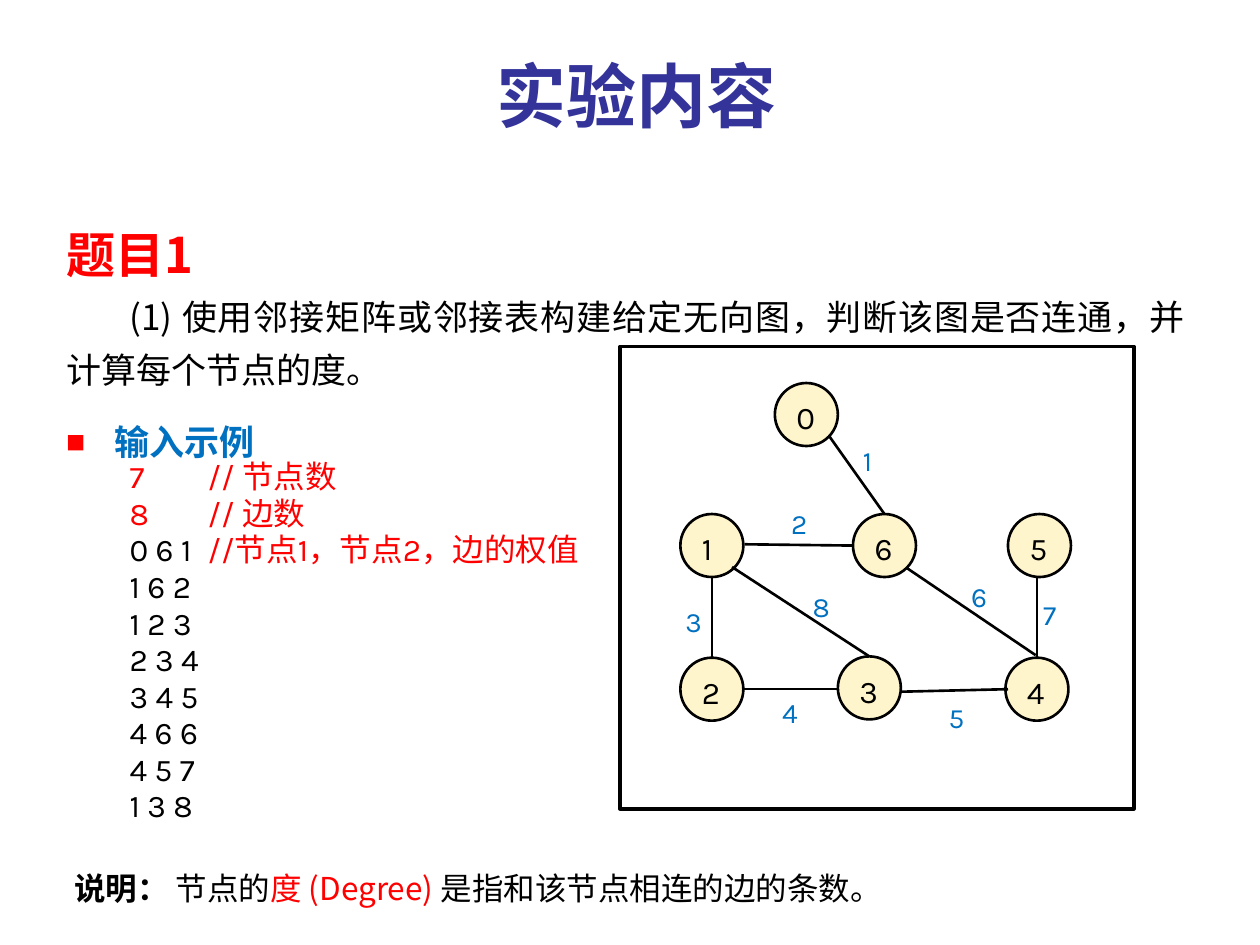
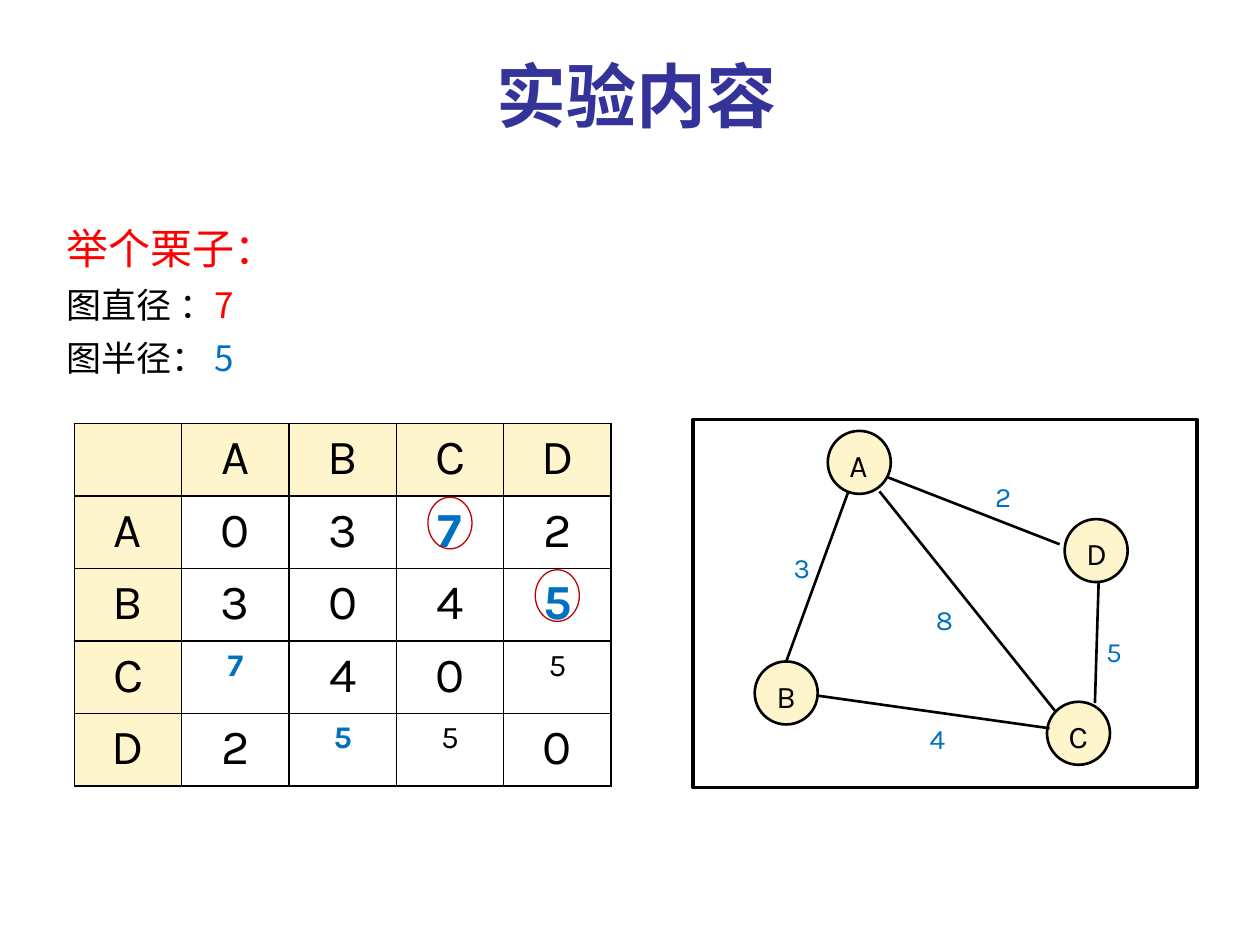
from lxml import etree
from pptx import Presentation
from pptx import util as u
from pptx.dml.color import RGBColor
from pptx.enum import shapes, text
from pptx.oxml.ns import qn

COLORS = {
    "title": "333399", "red": "FF0000", "blue": "0070C0", "black": "000000",
    "node": "FFF5CC", "white": "FFFFFF", "ring": "C00000",
}
HAN = "Noto Sans CJK SC"
LATIN = "Karla"
JUSTIFY = text.PP_ALIGN.JUSTIFY
CENTER = text.PP_ALIGN.CENTER
NODE_SIZE = 0.5

SAMPLE_ROWS = ["1 6 2", "1 2 3", "2 3 4", "3 4 5", "4 6 6", "4 5 7", "1 3 8"]

# Graphs: node -> top left corner; edge -> weight, label corner, two end points.
# All positions are relative to the frame of the graph.
WEIGHTED_NODES = {
    "0": (1.23, 0.29), "1": (0.48, 1.33), "2": (0.48, 2.47), "3": (1.73, 2.46),
    "4": (3.06, 2.47), "5": (3.08, 1.33), "6": (1.85, 1.33),
}
WEIGHTED_EDGES = [
    ("1", (1.83, 0.72), (1.66, 0.71), (2.1, 1.33)),
    ("2", (1.26, 1.22), (1.85, 1.58), (0.99, 1.57)),
    ("3", (0.42, 2.0), (0.73, 1.83), (0.73, 2.47)),
    ("4", (1.19, 2.72), (1.73, 2.72), (0.98, 2.72)),
    ("5", (2.51, 2.76), (3.08, 2.72), (2.23, 2.74)),
    ("6", (2.69, 1.8), (3.3, 2.45), (2.28, 1.76)),
    ("7", (3.26, 1.94), (3.31, 1.82), (3.31, 2.47)),
    ("8", (1.43, 1.88), (1.98, 2.46), (0.89, 1.75)),
]
DISTANCE_NODES = {
    "A": (1.07, 0.09), "B": (0.49, 1.92), "C": (2.81, 2.24), "D": (2.95, 0.79),
}
DISTANCE_EDGES = [
    ("2", (2.3, 0.43), (1.55, 0.46), (2.91, 0.99)),
    ("3", (0.7, 0.99), (0.74, 1.92), (1.23, 0.58)),
    ("4", (1.78, 2.35), (2.83, 2.45), (0.98, 2.19)),
    ("5", (3.18, 1.66), (3.22, 1.28), (3.19, 2.25)),
    ("8", (1.83, 1.4), (1.48, 0.57), (2.88, 2.32)),
]
DISTANCES = ["0372", "3045", "7405", "2550"]
HIGHLIGHTED = {(1, 3), (2, 4), (3, 1), (4, 2)}
SMALL = {(3, 1), (3, 4), (4, 2), (4, 3)}
RINGED = [(1, 3), (2, 4)]


def rgb(name):
    return RGBColor.from_string(COLORS[name])


def inches(*lengths):
    return [u.Inches(length) for length in lengths]


def add_run(paragraph, words, size, color="black", bold=False, face=HAN):
    run = paragraph.add_run()
    run.text = words
    formats = {"size": u.Pt(size), "bold": bold, "name": face}
    for key, value in formats.items():
        setattr(run.font, key, value)
    run.font.color.rgb = rgb(color)
    east_asian = etree.SubElement(run.font._element, qn("a:ea"))
    east_asian.set("typeface", face)


def add_box(slide, box, wrap=True):
    frame = slide.shapes.add_textbox(*inches(*box)).text_frame
    frame.word_wrap = wrap
    return frame


def add_line(frame, runs, height=None, before=0, align=None):
    """Write a paragraph of (words, size, colour, ...) runs with a fixed line height."""
    first = frame.paragraphs[0]
    paragraph = frame.add_paragraph() if first.runs else first
    formats = {"space_before": u.Pt(before), "alignment": align}
    if height:
        formats["line_spacing"] = u.Pt(height)
    for key, value in formats.items():
        setattr(paragraph, key, value)
    for run in runs:
        add_run(paragraph, *run)
    return paragraph


def set_indent(paragraph, margin, first):
    properties = paragraph._p.get_or_add_pPr()
    properties.set("marL", str(u.Inches(margin)))
    properties.set("indent", str(u.Inches(first)))
    return properties


def add_bullet(paragraph):
    properties = set_indent(paragraph, 0.38, -0.38)
    color = etree.SubElement(properties, qn("a:buClr"))
    etree.SubElement(color, qn("a:srgbClr")).set("val", COLORS["red"])
    for tag, key, value in [("a:buSzPct", "val", "55000"),
                            ("a:buFont", "typeface", HAN),
                            ("a:buChar", "char", "■")]:
        etree.SubElement(properties, qn(tag)).set(key, value)


def add_tab_stop(paragraph, position):
    tabs = etree.SubElement(paragraph._p.get_or_add_pPr(), qn("a:tabLst"))
    stop = etree.SubElement(tabs, qn("a:tab"))
    stop.set("pos", str(u.Inches(position)))
    stop.set("algn", "l")


def add_outline(slide, preset, box, fill, line, width):
    shape = slide.shapes.add_shape(preset, *inches(*box))
    shape.shadow.inherit = False
    if fill:
        shape.fill.solid()
        shape.fill.fore_color.rgb = rgb(fill)
    else:
        shape.fill.background()
    shape.line.color.rgb = rgb(line)
    shape.line.width = u.Pt(width)
    return shape


def add_title(slide, box):
    frame = add_box(slide, box)
    frame.vertical_anchor = text.MSO_ANCHOR.BOTTOM
    frame.margin_bottom = 0
    add_line(frame, [("实验内容", 40, "title", True)], align=CENTER)


def add_node(slide, name, left, top):
    box = (left, top, NODE_SIZE, NODE_SIZE)
    node = add_outline(slide, shapes.MSO_SHAPE.OVAL, box, "node", "black", 1.5)
    frame = node.text_frame
    frame.word_wrap = False
    frame.vertical_anchor = text.MSO_ANCHOR.TOP
    add_line(frame, [(name, 18, "black", False, LATIN)], align=text.PP_ALIGN.LEFT)


def add_edge(slide, start, end):
    edge = slide.shapes.add_connector(
        shapes.MSO_CONNECTOR.STRAIGHT, *inches(*start, *end))
    edge.line.color.rgb = rgb("black")
    edge.line.width = u.Pt(1.5)
    etree.SubElement(edge._element.spPr, qn("a:effectLst"))


def add_graph(slide, box, nodes, edges):
    left, top = box[:2]

    def place(point):
        return left + point[0], top + point[1]

    add_outline(slide, shapes.MSO_SHAPE.RECTANGLE, box, "white", "black", 2)
    for name, corner in nodes.items():
        add_node(slide, name, *place(corner))
    for weight, corner, start, end in edges:
        add_edge(slide, place(start), place(end))
        label = add_box(slide, (*place(corner), 0.61, 0.37))
        add_line(label, [(weight, 16, "blue", False, LATIN)])


def add_task(slide, box):
    frame = add_box(slide, box)
    add_line(frame, [("题目1", 28, "red", True)], 44, align=JUSTIFY)
    task = add_line(
        frame,
        [("(1) 使用邻接矩阵或邻接表构建给定无向图，判断该图是否连通，并计算每个节点的度。", 20)],
        30, before=1, align=JUSTIFY)
    set_indent(task, 0, 0.5)
    add_bullet(add_line(frame, [("输入示例", 20, "blue", True)], 30, before=11.5))


def add_sample_input(slide, box):
    frame = add_box(slide, box)
    commented = [("7", "red", "// 节点数"), ("8", "red", "// 边数"),
                 ("0 6 1", "black", "//节点1，节点2，边的权值")]
    for values, color, comment in commented:
        row = add_line(frame, [(values + "\t", 18, color, False, LATIN),
                               (comment, 18, "red", False, LATIN)], 20.9)
        add_tab_stop(row, 0.62)
    for values in SAMPLE_ROWS:
        add_line(frame, [(values, 18, "black", False, LATIN)], 20.9)


def add_degree_note(slide, box):
    add_line(add_box(slide, box), [
        ("说明： ", 18, "black", True), ("节点的", 18),
        ("度 (Degree) ", 18, "red"), ("是指和该节点相连的边的条数。", 18)],
        25, align=JUSTIFY)


def add_example(slide, box):
    frame = add_box(slide, box)
    add_line(frame, [("举个栗子：", 24, "red")], 38, align=JUSTIFY)
    for measure, value, color in [("图直径 ：", "7 ", "red"), ("图半径： ", "5 ", "blue")]:
        add_line(frame, [(measure, 20), (value, 20, color)], 30, align=JUSTIFY)


def style_cell(cell, is_header):
    if is_header:
        cell.fill.solid()
        cell.fill.fore_color.rgb = rgb("node")
    else:
        cell.fill.background()
    properties = cell._tc.get_or_add_tcPr()
    for position, side in enumerate(["a:lnL", "a:lnR", "a:lnT", "a:lnB"]):
        border = etree.Element(qn(side), w=str(u.Pt(1)))
        fill = etree.SubElement(border, qn("a:solidFill"))
        etree.SubElement(fill, qn("a:srgbClr")).set("val", COLORS["black"])
        properties.insert(position, border)


def add_distance_table(slide, box):
    left, top, width, height = box
    names = list(DISTANCE_NODES)
    rows = [["", *names]] + [[name, *line] for name, line in zip(names, DISTANCES)]
    count = len(rows)
    table = slide.shapes.add_table(count, count, *inches(*box)).table
    table.first_row = table.horz_banding = False
    for r, row in enumerate(rows):
        for c, value in enumerate(row):
            cell = table.cell(r, c)
            style_cell(cell, r == 0 or c == 0)
            if value:
                marked = (r, c) in HIGHLIGHTED
                size = 18 if (r, c) in SMALL else 28
                color = "blue" if marked else "black"
                add_line(cell.text_frame, [(value, size, color, marked, LATIN)],
                         align=CENTER)
    for r, c in RINGED:
        ring = (left + c * width / count + 0.25, top + r * height / count + 0.01,
                0.35, 0.41)
        add_outline(slide, shapes.MSO_SHAPE.OVAL, ring, None, "ring", 0.75)


def new_slide(deck):
    slide = deck.slides.add_slide(deck.slide_layouts[6])
    add_title(slide, (0.83, 0.25, 8.44, 0.83))
    return slide


def build_task_slide(deck):
    slide = new_slide(deck)
    add_task(slide, (0.43, 1.59, 9.07, 2.1))
    add_sample_input(slide, (0.93, 3.59, 4, 3.05))
    add_graph(slide, (4.92, 2.75, 4.08, 3.67), WEIGHTED_NODES, WEIGHTED_EDGES)
    add_degree_note(slide, (0.49, 6.8, 9.39, 0.46))


def build_example_slide(deck):
    slide = new_slide(deck)
    add_example(slide, (0.43, 1.59, 9.07, 1.5))
    add_graph(slide, (5.5, 3.33, 4, 2.92), DISTANCE_NODES, DISTANCE_EDGES)
    add_distance_table(slide, (0.59, 3.36, 4.26, 2.88))


def main():
    deck = Presentation()
    deck.slide_width, deck.slide_height = inches(10, 7.5)
    build_task_slide(deck)
    build_example_slide(deck)
    deck.save("out.pptx")


if __name__ == "__main__":
    main()
